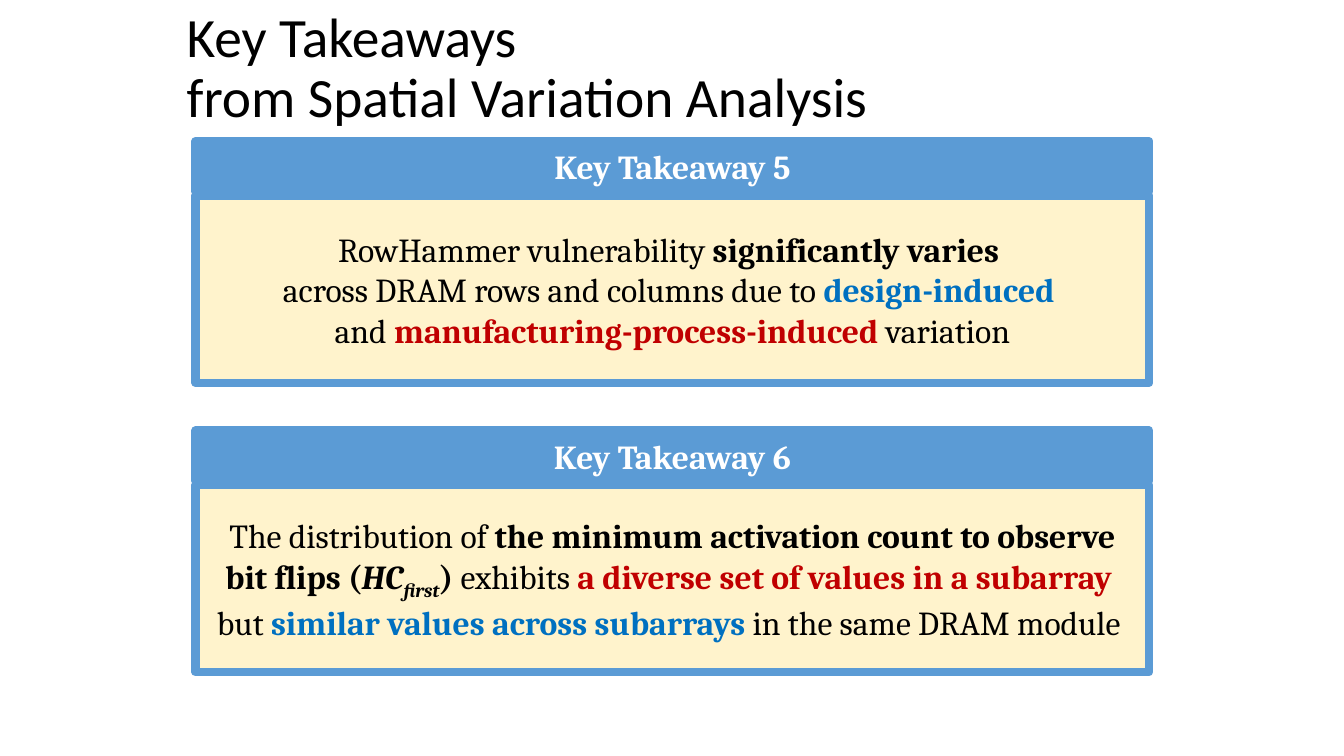
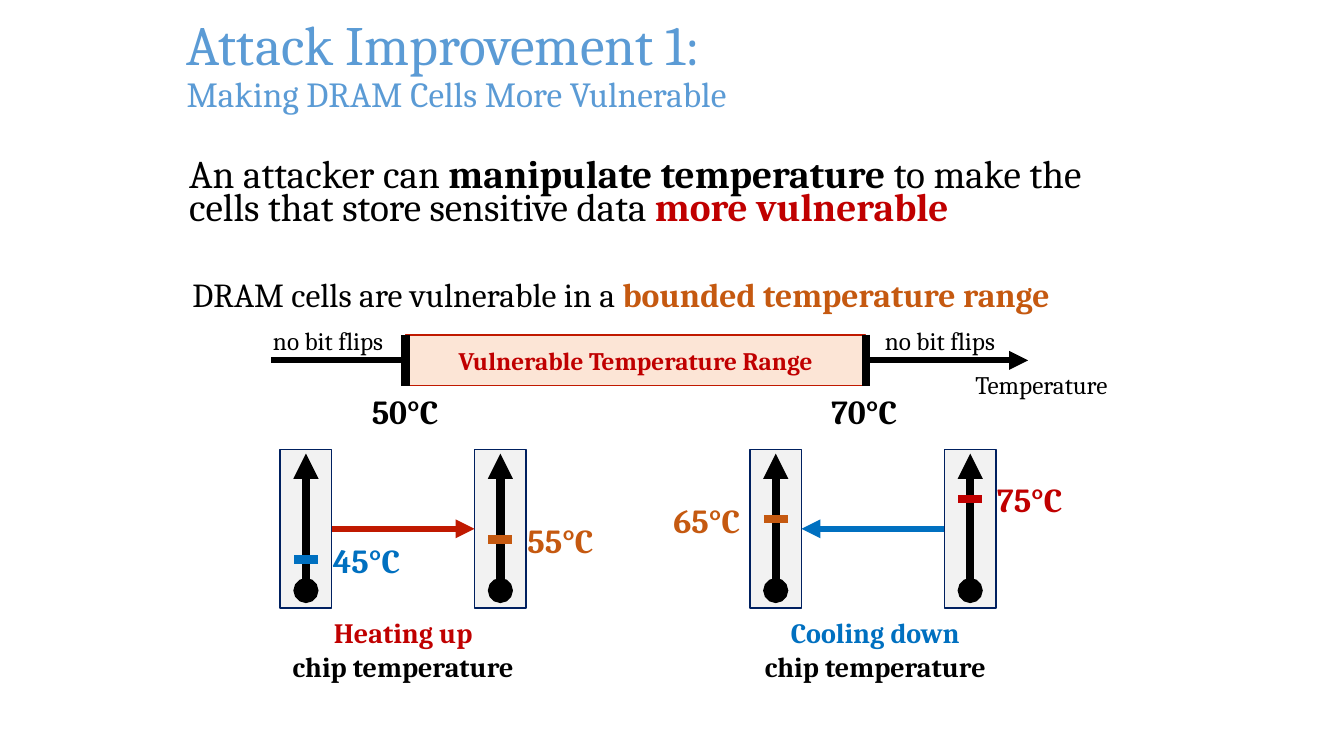
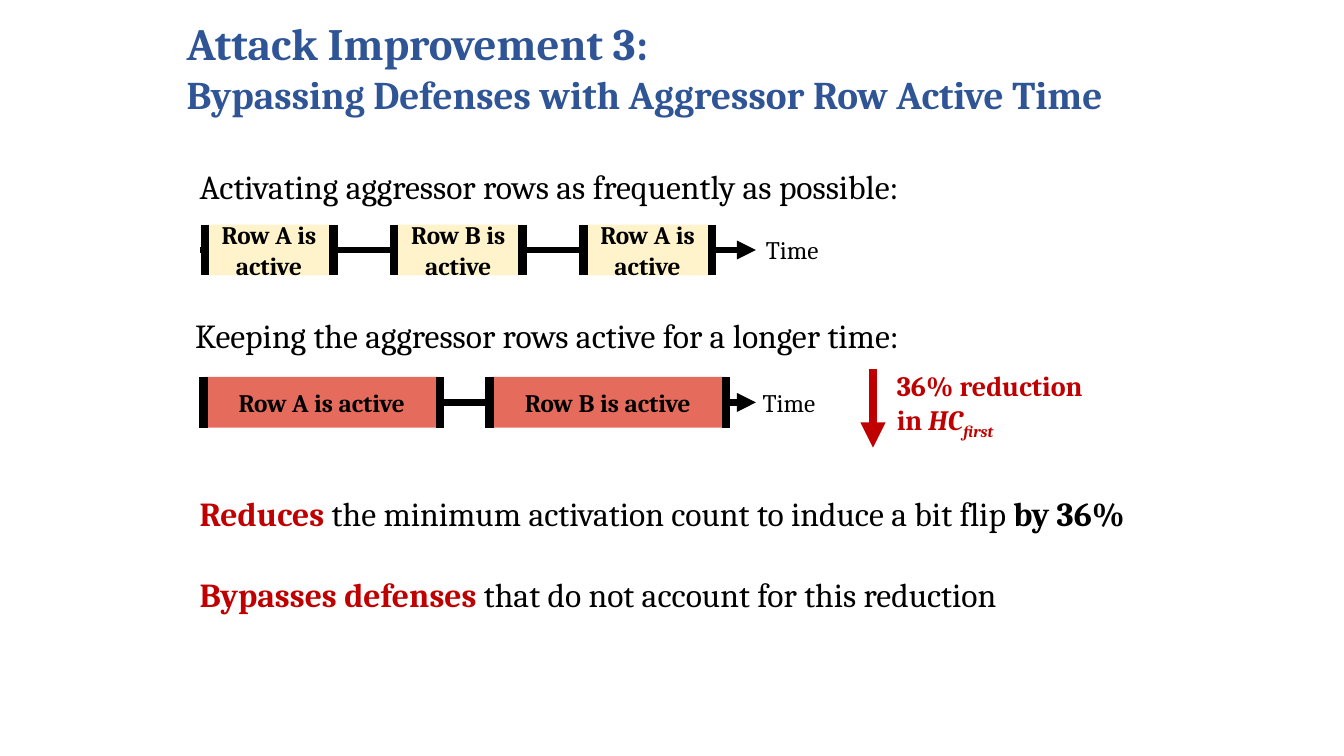
from lxml.etree import SubElement
from pptx import Presentation
from pptx.dml.color import RGBColor
from pptx.enum.shapes import MSO_CONNECTOR, MSO_SHAPE
from pptx.enum.text import MSO_ANCHOR, MSO_AUTO_SIZE, PP_ALIGN
from pptx.oxml.ns import qn
from pptx.util import Cm, Pt

SERIF = "Cambria"
BLACK = "000000"
WHITE = "FFFFFF"
SKY = "5B9BD5"
NAVY = "002060"
BLUE = "0070C0"
RED = "C00000"
BRICK = "C01900"
RUST = "C55910"
CREAM = "FFF3CC"
LEFT = PP_ALIGN.LEFT
MID = PP_ALIGN.CENTER


def paint(target, code):
    color = RGBColor.from_string(code)
    if hasattr(target, "solid"):
        target.solid()
        target.fore_color.rgb = color
    else:
        target.color.rgb = color


def add_run(para, text, code=None, marks="", size=None):
    if text == "\n":
        para.add_line_break()
        return
    run = para.add_run()
    run.text = text
    if code:
        paint(run.font, code)
    if "b" in marks:
        run.font.bold = True
    if "i" in marks:
        run.font.italic = True
    if "s" in marks:
        run._r.get_or_add_rPr().set("baseline", "-25000")
    if size:
        run.font.size = Pt(size)


def write(frame, paras, size, code=BLACK, bold=False, align=LEFT,
          face=SERIF, gap=0, space=None):
    frame.word_wrap = True
    for num, runs in enumerate(paras):
        para = frame.add_paragraph() if num else frame.paragraphs[0]
        para.alignment = align
        if num and gap:
            para.space_before = Pt(gap)
        if space:
            para.line_spacing = space
        para.font.name = face
        para.font.size = Pt(size)
        para.font.bold = bold
        paint(para.font, code)
        for run in runs:
            add_run(para, *((run,) if isinstance(run, str) else run))


def add_title(deck, box, runs, size, code, **style):
    slide = deck.slides.add_slide(deck.slide_layouts[5])
    title = slide.shapes.title
    title.left, title.top, title.width, title.height = map(Cm, box)
    frame = title.text_frame
    frame.auto_size = MSO_AUTO_SIZE.NONE
    frame.vertical_anchor = MSO_ANCHOR.MIDDLE
    write(frame, [runs], size, code, **style)
    return slide


def add_text(slide, box, paras, size, **style):
    shape = slide.shapes.add_textbox(*map(Cm, box))
    write(shape.text_frame, paras, size, **style)


def add_rect(slide, box, fill, edge=None, width=1):
    rect = slide.shapes.add_shape(MSO_SHAPE.RECTANGLE, *map(Cm, box))
    rect.shadow.inherit = False
    paint(rect.fill, fill)
    if edge:
        paint(rect.line, edge)
        rect.line.width = Pt(width)
    else:
        rect.line.fill.background()
    return rect


def add_line(slide, ends, code, width, head=None, tail=None):
    line = slide.shapes.add_connector(MSO_CONNECTOR.STRAIGHT, *map(Cm, ends))
    paint(line.line, code)
    line.line.width = Pt(width)
    for tag, kind in (("a:headEnd", head), ("a:tailEnd", tail)):
        if kind:
            SubElement(line.line._get_or_add_ln(), qn(tag)).set("type", kind)
    SubElement(line._element.spPr, qn("a:effectLst"))
    return line


def add_card(slide, top, head, paras):
    body = add_rect(slide, (4.93, top + 1.37, 24.03, 4.72), CREAM, SKY, 6)
    write(body.text_frame, paras, 24, align=MID)
    band = add_rect(slide, (4.93, top, 24.03, 1.27), SKY, SKY, 6)
    write(band.text_frame, [[head]], 24, WHITE, bold=True, align=MID)


def add_track(slide, top, ends, start, span, pitch, labels, fill,
              edge=None, code=BLACK):
    high = 1.28
    axis = top + high / 2
    add_line(slide, (ends[0], axis, ends[1], axis), BLACK, 4.5, tail="triangle")
    for num, label in enumerate(labels):
        left = start + num * pitch
        block = add_rect(slide, (left, top, span, high), fill, edge)
        write(block.text_frame, [[label]], 18, code, bold=True, align=MID)
        for x in (left, left + span):
            add_line(slide, (x, top, x, top + high), BLACK, 6)


def add_gauge(slide, left, temp, code, shift=1.08):
    tube = add_rect(slide, (left, 11.33, 1.3, 3.99), "F2F2F2", NAVY)
    axis = left + 0.65
    mark = 14.1 - (temp - 45) * 0.051
    add_line(slide, (axis, 14.88, axis, 11.43), BLACK, 6, "oval", "triangle")
    add_line(slide, (axis - 0.3, mark, axis + 0.3, mark), code, 6)
    add_text(slide, (left + shift, mark - 0.62, 2.31, 1.27),
             [[f"{temp}°C"]], 24, code=code, bold=True)
    return tube


def add_flow(slide, start, start_side, end, end_side, code):
    line = add_line(slide, (0, 0, 1, 1), code, 4.5, tail="triangle")
    line.begin_connect(start, start_side)
    line.end_connect(end, end_side)


def show_keys(deck):
    slide = add_title(deck, (4.45, 0.15, 25.2, 3.2),
                      ["Key Takeaways ", "\n", "from Spatial Variation Analysis"],
                      39.6, BLACK, face="Calibri", space=0.9)
    add_card(slide, 3.56, "Key Takeaway 5", [
        ["RowHammer vulnerability ", ("significantly varies ", None, "b")],
        ["across DRAM rows and columns due to ", ("design-induced ", BLUE, "b")],
        ["and ", ("manufacturing-process-induced ", RED, "b"), "variation"],
    ])
    add_card(slide, 10.85, "Key Takeaway 6", [
        ["The distribution of ",
         ("the minimum activation count to observe bit flips (", None, "b"),
         ("HC", None, "bi"), ("first", None, "bis"), (") ", None, "b"),
         "exhibits ", ("a diverse set of values in a subarray ", RED, "b")],
        ["but ", ("similar values across subarrays ", BLUE, "b"),
         "in the same DRAM module "],
    ])


def show_heat(deck):
    slide = add_title(deck, (4.45, 0.6, 24.43, 2.15),
                      ["Attack Improvement 1:\u00a0".replace("\u00a0", " "), "\n",
                       ("Making DRAM Cells More Vulnerable", None, "", 25.2)],
                      39.6, SKY, space=0.9)
    add_text(slide, (4.52, 3.96, 23.22, 2.29), [[
        "An attacker can ", ("manipulate temperature ", None, "b"),
        "to make the cells that store sensitive data ",
        ("more vulnerable", RED, "b")]], 28, space=0.7)
    add_text(slide, (4.6, 6.88, 24.43, 1.17), [[
        "DRAM cells are vulnerable in a ",
        ("bounded temperature range", RUST, "b")]], 24, space=0.9)

    add_track(slide, 8.44, (6.83, 25.91), 10.22, 11.6, 0,
              ["Vulnerable Temperature Range"], "FCE5D6", BRICK, RED)
    for left, top, width, label in ((6.63, 8.08, 3.38, "no bit flips"),
                                    (22.05, 8.08, 3.38, "no bit flips"),
                                    (24.33, 9.17, 4.01, "Temperature")):
        add_text(slide, (left, top, width, 1.02), [[label]], 18)
    for left, label in ((9.12, "50°C"), (20.7, "70°C")):
        add_text(slide, (left, 9.72, 2.31, 1.27), [[label]], 24, bold=True)

    cold = add_gauge(slide, 7.06, 45, BLUE)
    warm = add_gauge(slide, 11.96, 55, RUST)
    add_flow(slide, cold, 3, warm, 1, BRICK)
    mild = add_gauge(slide, 18.9, 65, RUST, -2.18)
    hot = add_gauge(slide, 23.8, 75, RED)
    add_flow(slide, hot, 1, mild, 3, BLUE)
    for left, label, code in ((7.06, "Heating up", RED),
                              (18.96, "Cooling down", BLUE)):
        add_text(slide, (left, 15.39, 6.2, 1.96),
                 [[(label, code), "\n", "chip temperature"]],
                 20, bold=True, align=MID)


def show_time(deck):
    slide = add_title(deck, (4.45, 0.6, 24.43, 2.15),
                      [("Attack Improvement 3: ", None, "", 32), "\n",
                       "Bypassing Defenses with Aggressor Row Active Time"],
                      28, "2F5597", bold=True, space=1.0)
    slide.shapes.title.text_frame.paragraphs[0].space_after = Pt(6)
    row_a, row_b = "Row A is active", "Row B is active"
    add_text(slide, (4.78, 4.06, 19.1, 1.27),
             [["Activating aggressor rows as frequently as possible:"]], 24)
    add_track(slide, 5.66, (5.05, 19.05), 5.16, 3.24, 4.77,
              [row_a, row_b, row_a], CREAM)
    add_text(slide, (4.67, 7.8, 19.18, 1.27),
             [["Keeping the aggressor rows active for a longer time:"]], 24)
    add_track(slide, 9.5, (5.03, 19.05), 5.13, 5.96, 7.21,
              [row_a, row_b], "E56B5C")
    for left, top in ((19.05, 5.79), (18.97, 9.63)):
        add_text(slide, (left, top, 2, 1.02), [["Time"]], 18)

    add_line(slide, (22, 9.3, 22, 11.28), RED, 6, tail="triangle")
    add_text(slide, (22.35, 9.17, 5.41, 1.96),
             [["36% reduction ", "\n", "in ", ("HC", None, "i"),
               ("first", None, "is")]], 20, code=RED, bold=True)
    add_text(slide, (4.78, 12.29, 24.64, 3.33), [
        [("Reduces", RED, "b"),
         " the minimum activation count to induce a bit flip ",
         ("by 36%", None, "b")],
        [("Bypasses defenses ", RED, "b"),
         "that do not account for this reduction"],
    ], 24, gap=29)


def main():
    deck = Presentation()
    deck.slide_width, deck.slide_height = Cm(33.87), Cm(19.05)
    show_keys(deck)
    show_heat(deck)
    show_time(deck)
    deck.save("out.pptx")


if __name__ == "__main__":
    main()
